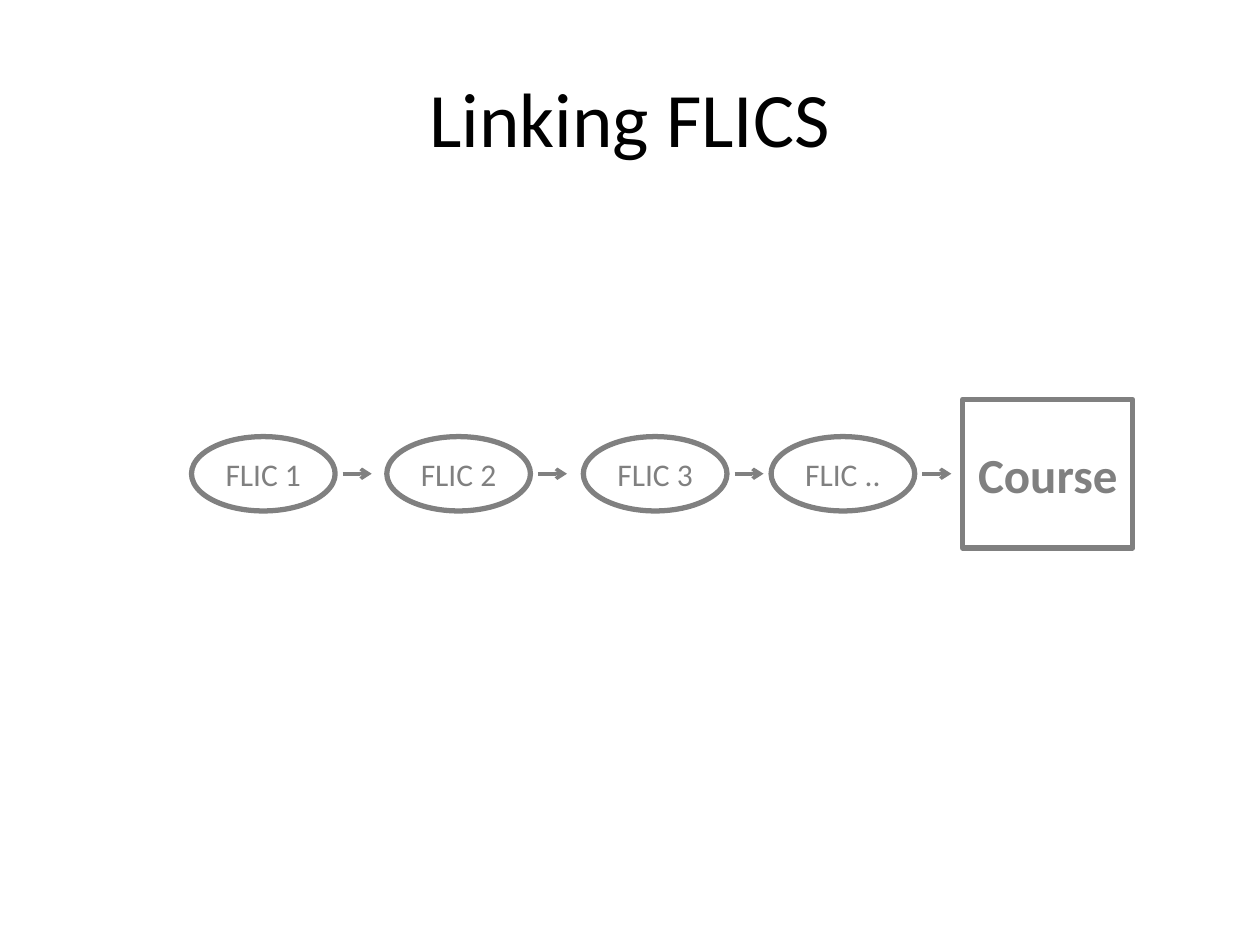
from lxml import etree
from pptx import Presentation
from pptx.dml.color import RGBColor
from pptx.enum import shapes, text
from pptx.oxml.ns import qn
from pptx.util import Inches, Pt

COLORS = {"title": "000000", "chain": "808080"}
FONT = "Calibri"

# Content: each step with its left edge
TITLE = "Linking FLICS"
STEPS = [("FLIC 1", 1.52), ("FLIC 2", 3.07), ("FLIC 3", 4.63), ("FLIC ..", 6.12)]
GOAL = "Course"

# Layout in inches
MIDDLE = 3.76
STEP_W, STEP_H = 1.14, 0.59
GOAL_LEFT, GOAL_W, GOAL_H = 7.64, 1.35, 1.18
ARROW_GAP, ARROW_LENGTH = 0.06, 0.23


def color(name):
    return RGBColor.from_string(COLORS[name])


def write(shape, words, size, color_name, bold=False):
    frame = shape.text_frame
    frame.text = words
    frame.word_wrap = False
    frame.vertical_anchor = text.MSO_ANCHOR.MIDDLE
    paragraph = frame.paragraphs[0]
    paragraph.alignment = text.PP_ALIGN.CENTER
    font = paragraph.runs[0].font
    font.name, font.size, font.bold = FONT, Pt(size), bold
    font.color.rgb = color(color_name)


def add_node(kind, left, width, height, words, size, bold=False):
    node = slide.shapes.add_shape(kind, Inches(left), Inches(MIDDLE - height / 2),
                                  Inches(width), Inches(height))
    node.shadow.inherit = False
    node.fill.background()
    node.line.color.rgb = color("chain")
    node.line.width = Pt(3)
    write(node, words, size, "chain", bold)


def add_arrow(left):
    arrow = slide.shapes.add_connector(
        shapes.MSO_CONNECTOR.STRAIGHT, Inches(left), Inches(MIDDLE),
        Inches(left + ARROW_LENGTH), Inches(MIDDLE))
    arrow.line.color.rgb = color("chain")
    arrow.line.width = Pt(2)
    etree.SubElement(arrow.line._get_or_add_ln(), qn("a:tailEnd"), type="arrow")
    etree.SubElement(arrow._element.spPr, qn("a:effectLst"))


prs = Presentation()
prs.slide_width, prs.slide_height = Inches(10), Inches(7.5)
slide = prs.slides.add_slide(prs.slide_layouts[6])

# Title
title = slide.shapes.add_textbox(Inches(0.5), Inches(0.3), Inches(9), Inches(1.25))
write(title, TITLE, 44, "title")
title.text_frame.word_wrap = True

# Chain of steps, each followed by an arrow
for label, left in STEPS:
    add_node(shapes.MSO_SHAPE.OVAL, left, STEP_W, STEP_H, label, 18)
    add_arrow(left + STEP_W + ARROW_GAP)

# Goal of the chain
add_node(shapes.MSO_SHAPE.RECTANGLE, GOAL_LEFT, GOAL_W, GOAL_H, GOAL, 28, bold=True)

prs.save("out.pptx")
